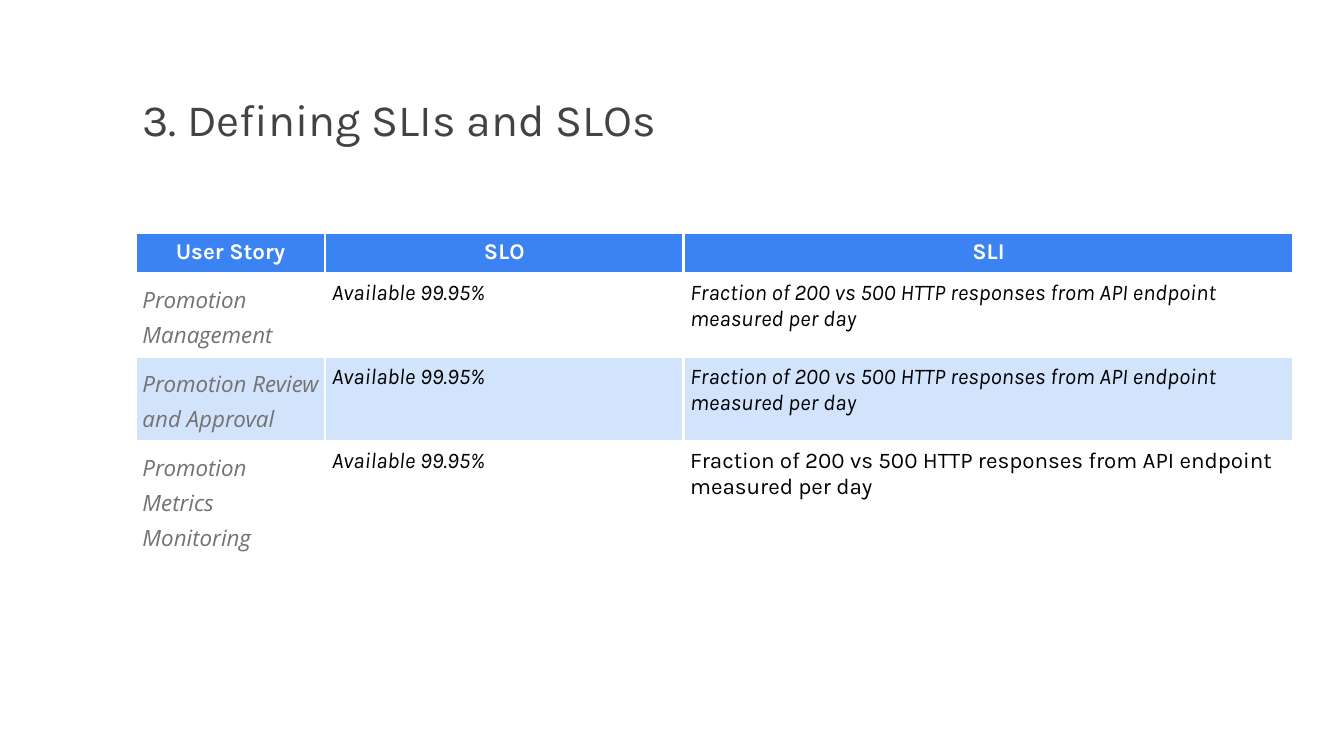
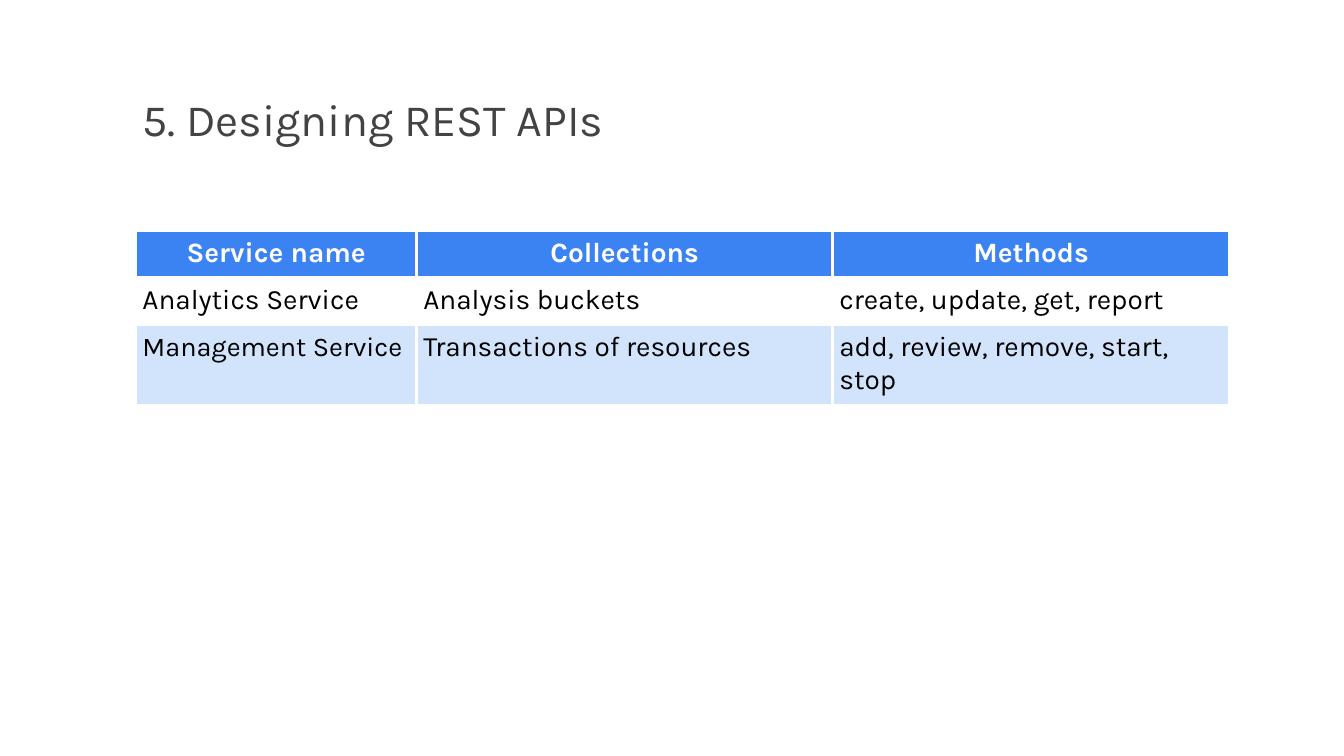
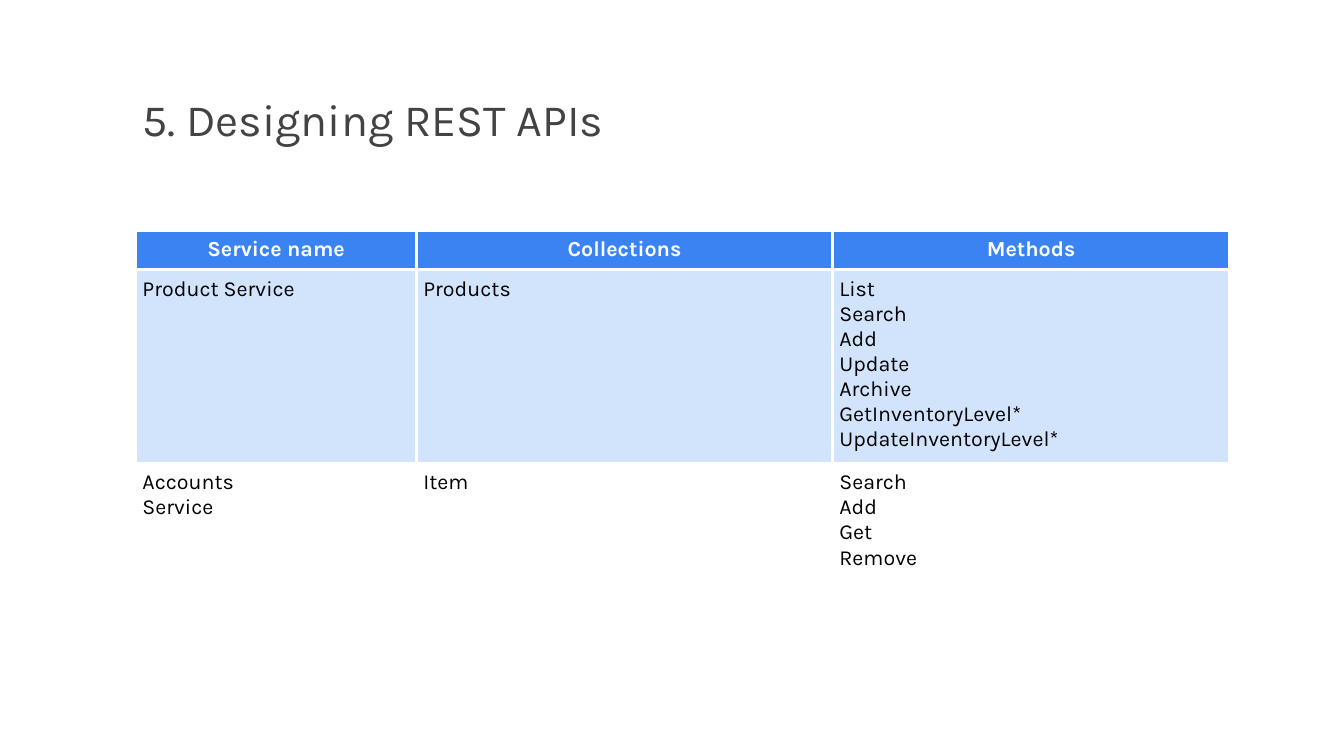
from lxml import etree
from pptx import Presentation
from pptx.dml.color import RGBColor
from pptx.enum import text
from pptx.oxml import ns
from pptx.util import Inches, Pt

FONT = "Karla"
TITLE_COLOR, HEADER_FILL, BAND_FILL = "434343", "3B83F3", "D2E3FC"
WHITE, BLACK = "FFFFFF", "000000"
LEFT, PADDING = 2.02, 0.1
TITLE_BOX = (LEFT, 1.18, 15.98, 1.18)

HEADER = {"color": WHITE, "bold": True, "align": text.PP_ALIGN.CENTER}
STORY = {"font": "Open Sans", "color": "737373", "italic": True,
         "line_spacing": 1.15, "space_after": 16}
ITALIC = {"italic": True}
PLAIN = {}

AVAILABILITY = ("Available 99.95%", ITALIC)
HTTP_FRACTION = "Fraction of 200 vs 500 HTTP responses from API endpoint measured per day"
API_COLUMNS = [4.18, 6.19, 5.91]
API_HEADER = ["Service name", "Collections", "Methods"]

# A cell is its text, or its text and style. "\n" starts a paragraph, "\v" a line.
SLIDES = [
    {
        "title": "3. Defining SLIs and SLOs",
        "top": 3.46, "size": 24, "band_row": 2,
        "columns": [2.82, 5.33, 9.08],
        "heights": [0.59, 1.25, 1.25, 1.77, 0.62],
        "rows": [
            ["User Story", "SLO", "SLI"],
            [("Promotion Management", STORY), AVAILABILITY, (HTTP_FRACTION, ITALIC)],
            [("Promotion Review and Approval", STORY), AVAILABILITY, (HTTP_FRACTION, ITALIC)],
            [("Promotion Metrics Monitoring", STORY), AVAILABILITY, HTTP_FRACTION],
            ["", "", ""],
        ],
    },
    {
        "title": "5. Designing REST APIs",
        "top": 3.43, "size": 30, "band_row": 2,
        "columns": API_COLUMNS,
        "heights": [0.69, 0.7, 1.18],
        "rows": [
            API_HEADER,
            ["Analytics Service", "Analysis buckets", "create, update, get, report"],
            [("Management Service", {"size": 29}), "Transactions of resources",
             "add, review, remove, start, stop"],
        ],
    },
    {
        "title": "5. Designing REST APIs",
        "top": 3.43, "size": 23, "band_row": 1,
        "columns": API_COLUMNS,
        "heights": [0.57, 2.81, 1.7],
        "rows": [
            API_HEADER,
            ["Product Service", "Products",
             "List\nSearch\vAdd\vUpdate\nArchive\nGetInventoryLevel*\nUpdateInventoryLevel*"],
            ["Accounts\nService", "Item", "Search\nAdd\nGet\nRemove"],
        ],
    },
]


def rgb(color):
    return RGBColor.from_string(color)


def write(frame, content, size, font=FONT, color=BLACK, bold=False, italic=False,
          align=None, line_spacing=None, space_after=None):
    frame.word_wrap = True
    for index, paragraph in enumerate(content.split("\n")):
        para = frame.add_paragraph() if index else frame.paragraphs[0]
        para.alignment = align
        para.line_spacing = line_spacing
        if space_after:
            para.space_after = Pt(space_after)
        for number, line in enumerate(paragraph.split("\v")):
            if number:
                para.add_line_break()
            if not line:
                continue
            span = para.add_run()
            span.text = line
            span.font.name, span.font.size = font, Pt(size)
            span.font.bold, span.font.italic = bold, italic
            span.font.color.rgb = rgb(color)


def set_margins(holder):
    for side in ("left", "right", "top", "bottom"):
        setattr(holder, f"margin_{side}", Inches(PADDING))


def add_borders(cell, color=WHITE, width=3):
    properties = cell._tc.get_or_add_tcPr()
    for side in ("lnL", "lnR", "lnT", "lnB"):
        line = etree.SubElement(properties, ns.qn(f"a:{side}"), w=str(Pt(width)))
        fill = etree.SubElement(line, ns.qn("a:solidFill"))
        etree.SubElement(fill, ns.qn("a:srgbClr"), val=color)


def fill_cell(cell, color):
    if color:
        cell.fill.solid()
        cell.fill.fore_color.rgb = rgb(color)
    else:
        cell.fill.background()


def add_title(page, title):
    box = page.shapes.add_textbox(*map(Inches, TITLE_BOX))
    set_margins(box.text_frame)
    box.text_frame.vertical_anchor = text.MSO_ANCHOR.MIDDLE
    write(box.text_frame, title, 48, color=TITLE_COLOR)


def add_grid(page, slide):
    columns, heights, rows = slide["columns"], slide["heights"], slide["rows"]
    area = (LEFT, slide["top"], sum(columns), sum(heights))
    table = page.shapes.add_table(len(rows), len(columns), *map(Inches, area)).table
    table.horz_banding = False
    for column, width in zip(table.columns, columns):
        column.width = Inches(width)
    fills = {0: HEADER_FILL, slide["band_row"]: BAND_FILL}
    for r, (height, row) in enumerate(zip(heights, rows)):
        table.rows[r].height = Inches(height)
        for c, entry in enumerate(row):
            content, style = entry if isinstance(entry, tuple) else (entry, PLAIN)
            if r == 0:
                style = HEADER
            cell = table.cell(r, c)
            set_margins(cell)
            add_borders(cell)
            fill_cell(cell, fills.get(r))
            write(cell.text_frame, content, **{"size": slide["size"], **style})


def main():
    deck = Presentation()
    deck.slide_width, deck.slide_height = Inches(20), Inches(11.25)
    for slide in SLIDES:
        page = deck.slides.add_slide(deck.slide_layouts[6])
        add_title(page, slide["title"])
        add_grid(page, slide)
    deck.save("out.pptx")


if __name__ == "__main__":
    main()
